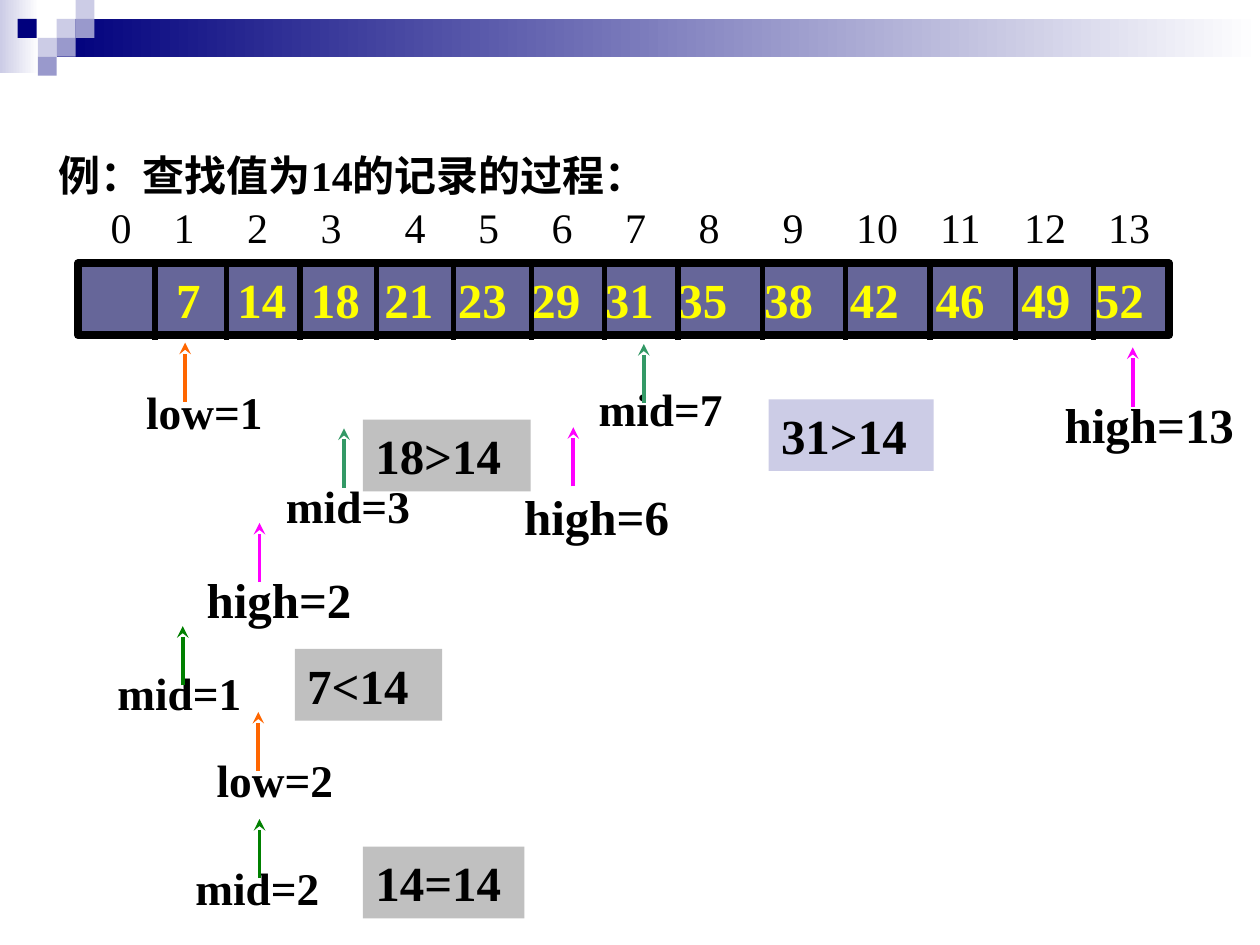
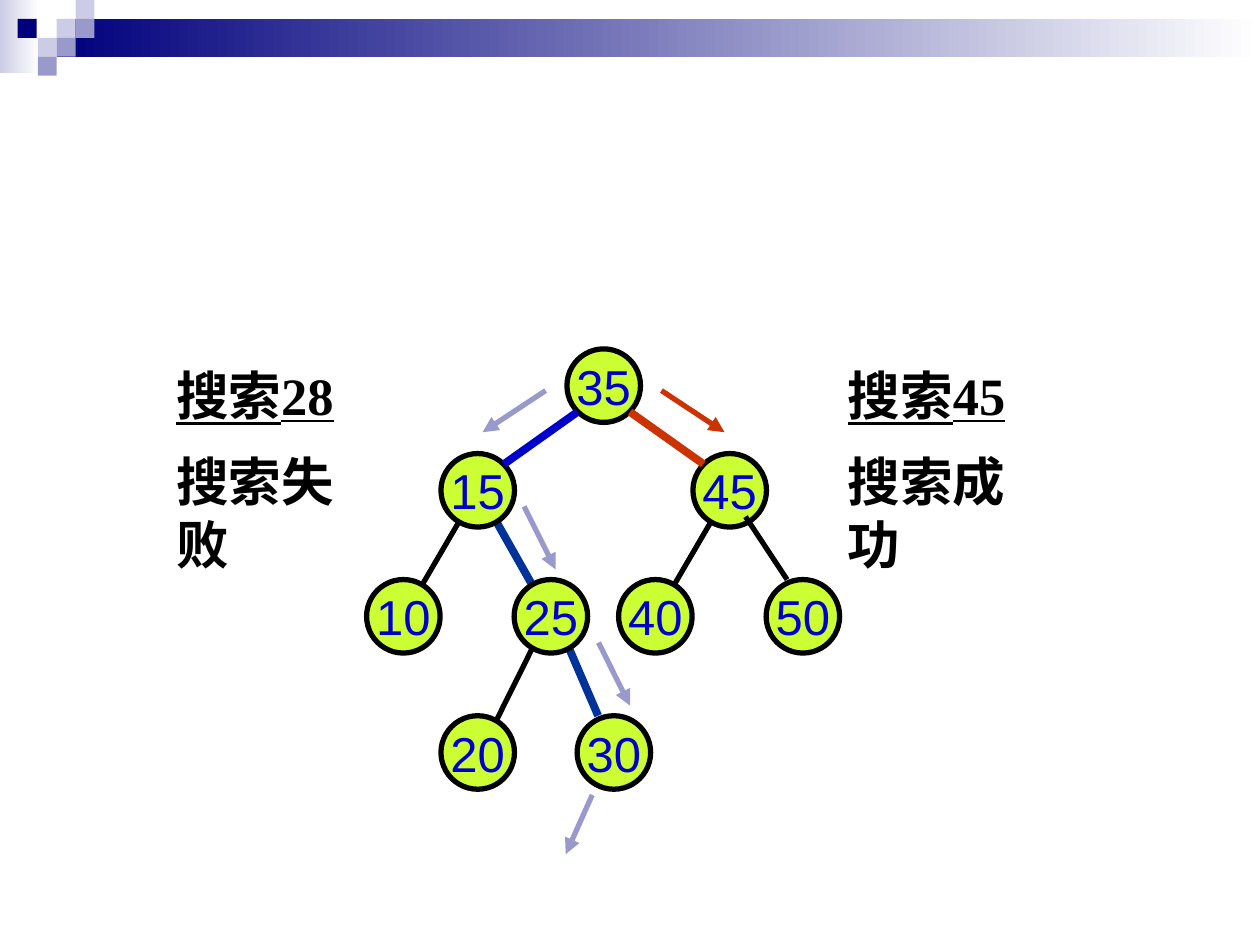
"""Build two slides on binary search: a worked array example and a search tree."""
from dataclasses import dataclass

from lxml import etree
from pptx import Presentation
from pptx import util as u
from pptx.dml import color
from pptx.enum import shapes, text
from pptx.oxml import ns

Pt = u.Pt


@dataclass(frozen=True)
class Theme:
    serif: str = "Times New Roman"
    sans: str = "Arial"
    cjk: str = "Noto Sans CJK SC"
    black: str = "000000"
    white: str = "FFFFFF"
    navy: str = "00007D"
    lilac: str = "9999CC"
    pale: str = "CCCCE6"
    slate: str = "666699"
    grey: str = "C0C0C0"
    yellow: str = "FFFF00"
    orange: str = "FF6600"
    magenta: str = "FF00FF"
    teal: str = "339966"
    green: str = "008000"
    lime: str = "CCFF33"
    blue: str = "0000CC"
    deep: str = "003399"
    red: str = "CC3300"
    small: float = 24
    label: float = 25.9
    body: float = 28
    verdict: float = 30


T = Theme()
INSETS = (7.2, 3.6, 7.2, 3.6)

SQUARE = 10.8
BANDS = [(0, 0, 22.3, 41.8, T.pale), (32.4, SQUARE, 687.6, 21.6, T.navy)]
SQUARES = [
    (32.4, 1, T.pale), (43.2, 0, T.pale), (43.2, 1, T.lilac), (21.6, 2, T.pale),
    (10.1, 1, T.navy), (32.4, 2, T.lilac), (21.6, 3, T.lilac),
]

HEADING = "例：查找值为14的记录的过程："
INDEXES = [str(i) for i in range(14)]
INDEX_TABS = [36, 78, 120, 168, 210, 252, 294, 336, 384, 426, 474, 522, 570]
VALUES = ["", "7", "14", "18", "21", "23", "29", "31", "35", "38", "42", "46", "49", "52"]
VALUE_TABS = [49, 84, 126, 168, 210, 252, 294, 336, 385, 434, 483, 532, 574]
DIVIDERS = [88.6, 129.6, 171.4, 215.3, 259.2, 303.8, 345.6, 387.4, 435.6, 483.1,
            531.4, 580.3, 625]
DIVIDER_TOP, DIVIDER_LENGTH = 151.9, 42.2

POINTER_LENGTH = 33.8
POINTERS = [
    ("low=1", (83.5, 228.2, 95.8, 23.8), 0.7, T.label, (105.8, 195.8), T.orange),
    ("high=13", (608.4, 231.8, 108, 36), 0.8, T.body, (647.3, 198.5), T.magenta),
    ("mid=7", (342, 229, 87.1, 25.9), 0.6, T.label, (367.9, 196.6), T.teal),
    ("high=6", (299.5, 284.4, 102.2, 30.2), 0.8, T.body, (327.6, 244.1), T.magenta),
    ("mid=3", (163.4, 281.5, 77.8, 36), 0.7, T.label, (196.6, 244.8), T.teal),
    ("high=2", (118.1, 331.9, 95.8, 36), 0.8, T.body, (148.3, 298.8), T.magenta),
    ("mid=1", (67, 391, 79.9, 25.2), 0.6, T.label, (104.4, 357.8), T.green),
    ("low=2", (123.8, 438.5, 95.8, 23.8), 0.7, T.label, (147.6, 406.8), T.orange),
    ("mid=2", (111.6, 502.6, 79.9, 25.2), 0.6, T.label, (148.3, 468), T.green),
]
COMPARISONS = [
    ("31>14", 439.2, 228.2, 94.3, T.pale),
    ("18>14", 207.4, 239.8, 95.8, T.grey),
    ("7<14", 168.5, 370.8, 84.2, T.grey),
    ("14=14", 207.4, 483.8, 92.2, T.grey),
]

VERDICTS = [(477.4, "搜索45", "搜索成功"), (93.6, "搜索28", "搜索失败")]
NODE_SIZE = 42
NODES = {
    "35": (324, 199.4), "15": (252, 259.2), "45": (396, 259.2), "50": (437.8, 331.2),
    "40": (353.5, 331.2), "25": (293.8, 331.2), "10": (209.5, 331.2),
    "20": (252, 409), "30": (329.8, 409),
}
EDGE_DROP = 15
EDGES_BEHIND = [
    ("45", "40", 9, 15, T.black, 3), ("25", "30", 9, 21, T.deep, 4.5),
    ("25", "20", 9, 15, T.black, 3), ("15", "10", 9, 15, T.black, 3),
    ("15", "25", 9, 15, T.deep, 4.5),
]
EDGES_FRONT = [
    ("35", "15", 15, 15, T.blue, 4.5), ("35", "45", 15, 15, T.red, 4.5),
    ("45", "50", 9, 21, T.black, 3),
]
STEPS = [
    (378, 223.2, 36, 23.8, T.red), (311.8, 223.2, -36, 23.8, T.lilac),
    (299.5, 289.4, 18, 36, T.lilac), (342, 367.2, 18, 36, T.lilac),
    (338.4, 454.3, -15.1, 33.8, T.lilac),
]


def rgb(value):
    return color.RGBColor.from_string(value)


def assign(obj, values):
    for name, value in values.items():
        setattr(obj, name, value)


def write(sp, lines, size, ink=T.black, font=T.serif, bold=True, insets=INSETS,
          wrap=True, grow=False, anchor=text.MSO_ANCHOR.TOP, tabs=(), underlined=(), **para):
    tf = sp.text_frame
    sides = ("margin_left", "margin_top", "margin_right", "margin_bottom")
    fit = text.MSO_AUTO_SIZE.SHAPE_TO_FIT_TEXT if grow else text.MSO_AUTO_SIZE.NONE
    assign(tf, {"word_wrap": wrap, "auto_size": fit, "vertical_anchor": anchor})
    assign(tf, dict(zip(sides, map(Pt, insets))))
    for i, line in enumerate(lines):
        p = tf.add_paragraph() if i else tf.paragraphs[0]
        assign(p, {"alignment": text.PP_ALIGN.LEFT, **para})
        if tabs:
            stops = etree.SubElement(p._p.get_or_add_pPr(), ns.qn("a:tabLst"))
            for tab in tabs:
                etree.SubElement(stops, ns.qn("a:tab"), pos=str(int(Pt(tab))), algn="l")
        r = p.add_run()
        r.text = line
        assign(r.font, {"name": font, "size": Pt(size), "bold": bold,
                        "underline": i in underlined})
        r.font.color.rgb = rgb(ink)
        etree.SubElement(r._r.get_or_add_rPr(), ns.qn("a:ea"), typeface=T.cjk)


def add_text(s, box, lines, size, **style):
    write(s.shapes.add_textbox(*map(Pt, box)), lines, size, **style)


def add_block(s, box, fill, kind=shapes.MSO_SHAPE.RECTANGLE, border=0, fade=False):
    sp = s.shapes.add_shape(kind, *map(Pt, box))
    sp.shadow.inherit = False
    if fade:
        sp.fill.gradient()
        sp.fill.gradient_angle = 0
        for stop, position, tint in zip(sp.fill.gradient_stops, (0, 1), (fill, T.white)):
            stop.position = position
            stop.color.rgb = rgb(tint)
    else:
        sp.fill.solid()
        sp.fill.fore_color.rgb = rgb(fill)
    if border:
        sp.line.width = Pt(border)
        sp.line.color.rgb = rgb(T.black)
    else:
        sp.line.fill.background()
    return sp


def add_line(s, x1, y1, x2, y2, ink, width, head=None):
    sp = s.shapes.add_connector(shapes.MSO_CONNECTOR.STRAIGHT, *map(Pt, (x1, y1, x2, y2)))
    sp.line.width = Pt(width)
    sp.line.color.rgb = rgb(ink)
    if head:
        etree.SubElement(sp.line._get_or_add_ln(), ns.qn("a:tailEnd"), type=head)
    etree.SubElement(sp._element.spPr, ns.qn("a:effectLst"))


def add_slide(prs):
    s = prs.slides.add_slide(prs.slide_layouts[6])
    for *box, fill in BANDS:
        add_block(s, box, fill, fade=True)
    for x, row, fill in SQUARES:
        add_block(s, (x, row * SQUARE, SQUARE, SQUARE), fill)
    return s


def build_array(prs):
    s = add_slide(prs)
    add_text(s, (26.6, 82.1, 617.8, 36), [HEADING], T.small, grow=True, space_before=Pt(15))
    add_text(s, (59, 115.2, 631.4, 30.2), ["\t".join(INDEXES)], T.small, bold=False,
             insets=(4.3, 0, 0, 0), tabs=INDEX_TABS)
    sp = add_block(s, (44.6, 150.5, 623.5, 41), T.slate, border=4.5)
    write(sp, ["\t".join(VALUES)], T.body, T.yellow, insets=(7.2, 3.6, 0, 3.6),
          tabs=VALUE_TABS, space_before=Pt(17.5))
    for label, box, spacing, size, (x, tip), ink in POINTERS:
        add_text(s, box, [label], size, insets=(0, 0, 0, 0), line_spacing=spacing,
                 alignment=text.PP_ALIGN.JUSTIFY)
        add_line(s, x, tip + POINTER_LENGTH, x, tip, ink, 2.25, "stealth")
    for x in DIVIDERS:
        add_line(s, x, DIVIDER_TOP, x, DIVIDER_TOP + DIVIDER_LENGTH, T.black, 3)
    for label, x, y, width, fill in COMPARISONS:
        write(add_block(s, (x, y, width, 41), fill), [label], T.body, grow=True,
              space_before=Pt(17.5))


def add_edges(s, edges):
    for parent, child, dx, rise, ink, width in edges:
        (x1, y1), (x2, y2) = [[v + NODE_SIZE / 2 for v in NODES[n]] for n in (parent, child)]
        step = dx if x2 > x1 else -dx
        add_line(s, x1 + step, y1 + EDGE_DROP, x2 - step, y2 - rise, ink, width)


def build_tree(prs):
    s = add_slide(prs)
    for x, *lines in VERDICTS:
        add_text(s, (x, 203.8, 133.9, 92.9), lines, T.verdict, wrap=False, grow=True,
                 underlined=(0,), space_before=Pt(13.1))
    add_edges(s, EDGES_BEHIND)
    for key, place in NODES.items():
        sp = add_block(s, (*place, NODE_SIZE, NODE_SIZE), T.lime, shapes.MSO_SHAPE.OVAL, 3)
        write(sp, [key], T.body, T.blue, T.sans, bold=False, wrap=False,
              anchor=text.MSO_ANCHOR.MIDDLE, alignment=text.PP_ALIGN.CENTER)
    add_edges(s, EDGES_FRONT)
    for x, y, dx, dy, ink in STEPS:
        add_line(s, x, y, x + dx, y + dy, ink, 3, "triangle")


def main():
    prs = Presentation()
    assign(prs, {"slide_width": Pt(720), "slide_height": Pt(540)})
    build_array(prs)
    build_tree(prs)
    prs.save("out.pptx")


if __name__ == "__main__":
    main()
